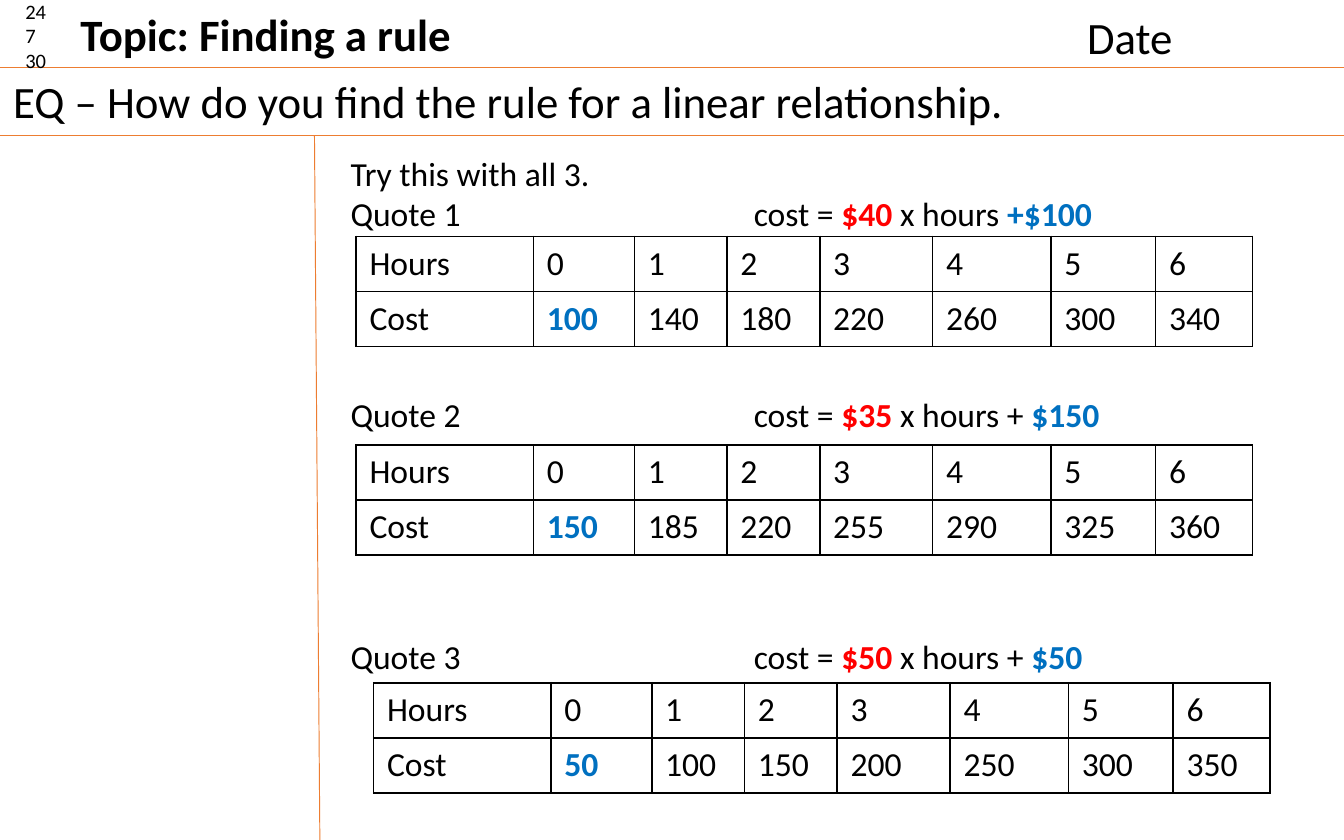
"""Build a lesson slide on finding the rule for a linear relationship."""
from dataclasses import dataclass

from lxml import etree
from pptx import Presentation
from pptx.dml.color import RGBColor
from pptx.enum.shapes import MSO_CONNECTOR
from pptx.oxml.ns import qn
from pptx.util import Inches, Pt

STRAIGHT = MSO_CONNECTOR.STRAIGHT


@dataclass(frozen=True)
class Theme:
    font: str = "Calibri"
    text: str = "000000"
    rate: str = "FF0000"
    start: str = "0070C0"
    rule: str = "ED7D31"
    small: int = 11
    body: int = 18
    heading: int = 24


theme = Theme()


def add_run(paragraph, text, size, color=theme.text, bold=False):
    run = paragraph.add_run()
    run.text = text
    run.font.name = theme.font
    run.font.size = Pt(size)
    run.font.bold = bold
    run.font.color.rgb = RGBColor.from_string(color)


def add_text_box(left, top, width, height, lines, size, bold=False, wrap=True):
    shape = slide.shapes.add_textbox(Inches(left), Inches(top), Inches(width), Inches(height))
    frame = shape.text_frame
    frame.word_wrap = wrap
    for index, line in enumerate(lines):
        paragraph = frame.add_paragraph() if index else frame.paragraphs[0]
        add_run(paragraph, line, size, bold=bold)
    return frame


presentation = Presentation()
presentation.slide_width = Inches(10)
presentation.slide_height = Inches(6.25)
slide = presentation.slides.add_slide(presentation.slide_layouts[6])

for x1, y1, x2, y2 in [(0, 0.5, 10, 0.5), (0, 1.01, 10, 1.01), (2.34, 1.01, 2.38, 6.25)]:
    line = slide.shapes.add_connector(STRAIGHT, Inches(x1), Inches(y1), Inches(x2), Inches(y2))
    line.line.color.rgb = RGBColor.from_string(theme.rule)
    line.line.width = Pt(0.5)
    etree.SubElement(line._element.spPr, qn("a:effectLst"))

add_text_box(0.09, -0.06, 0.56, 0.66, ["24", "7", "30"], theme.small)
add_text_box(7.99, 0.02, 1.73, 0.5, ["Date"], theme.heading)
question = "EQ – How do you find the rule for a linear relationship."
add_text_box(0, 0.5, 9.45, 0.5, [question], theme.heading)
add_text_box(0.5, 0, 2.98, 0.5, ["Topic: Finding a rule"], theme.heading, bold=True, wrap=False)
quotes_frame = add_text_box(2.51, 1.09, 7.38, 4.34, ["Try this with all 3."], theme.body)

quotes = [
    (40, 100, "x hours ", "+$100", 0, 2.65, 1.76),
    (35, 150, "x hours + ", "$150", 86, 2.65, 3.31),
    (50, 50, "x hours + ", "$50", 108, 2.78, 5.08),
]
column_widths = [1.32, 0.75, 0.69, 0.69, 0.84, 0.88, 0.78, 0.72]
row_height = 0.41
hours = range(7)

for number, (rate, start, middle, ending, gap, left, top) in enumerate(quotes, 1):
    paragraph = quotes_frame.add_paragraph()
    tab_list = etree.SubElement(paragraph._p.get_or_add_pPr(), qn("a:tabLst"))
    etree.SubElement(tab_list, qn("a:tab"), pos=str(Inches(3)), algn="l")
    paragraph.space_before = Pt(gap)
    add_run(paragraph, f"Quote {number}\tcost = ", theme.body)
    add_run(paragraph, f"${rate} ", theme.body, theme.rate, True)
    add_run(paragraph, middle, theme.body)
    add_run(paragraph, ending, theme.body, theme.start, True)

    rows = [["Hours", *hours], ["Cost", *(start + rate * hour for hour in hours)]]
    table = slide.shapes.add_table(
        len(rows), len(column_widths), Inches(left), Inches(top),
        Inches(sum(column_widths)), Inches(row_height * len(rows)),
    ).table
    table.first_row = False
    table.horz_banding = False
    for column, width in zip(table.columns, column_widths):
        column.width = Inches(width)
    for row_index, values in enumerate(rows):
        table.rows[row_index].height = Inches(row_height)
        for column_index, value in enumerate(values):
            cell = table.cell(row_index, column_index)
            is_start = (row_index, column_index) == (1, 1)
            color = theme.start if is_start else theme.text
            add_run(cell.text_frame.paragraphs[0], str(value), theme.body, color, is_start)
            properties = cell._tc.get_or_add_tcPr()
            for side in ("lnL", "lnR", "lnT", "lnB"):
                border = etree.SubElement(properties, qn(f"a:{side}"), w=str(Pt(1)))
                fill = etree.SubElement(border, qn("a:solidFill"))
                etree.SubElement(fill, qn("a:srgbClr"), val=theme.text)
            cell.fill.background()

presentation.save("out.pptx")
